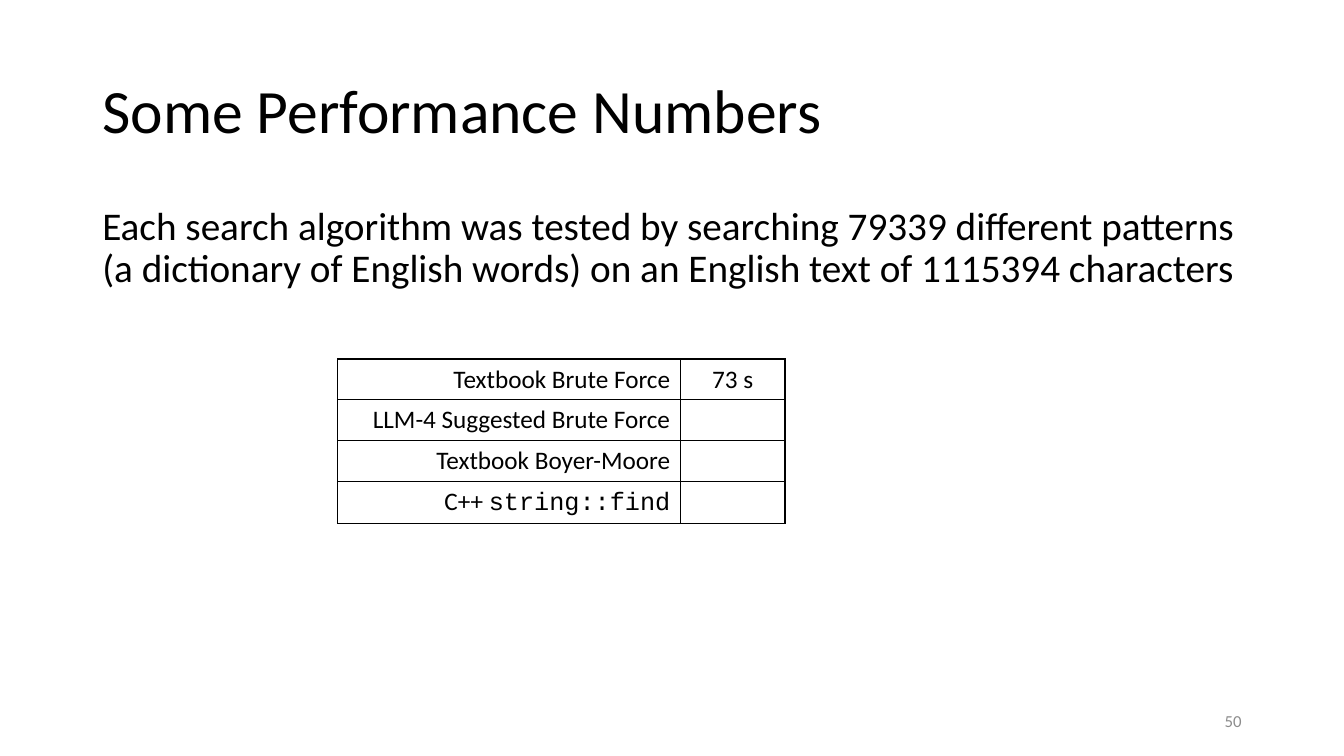
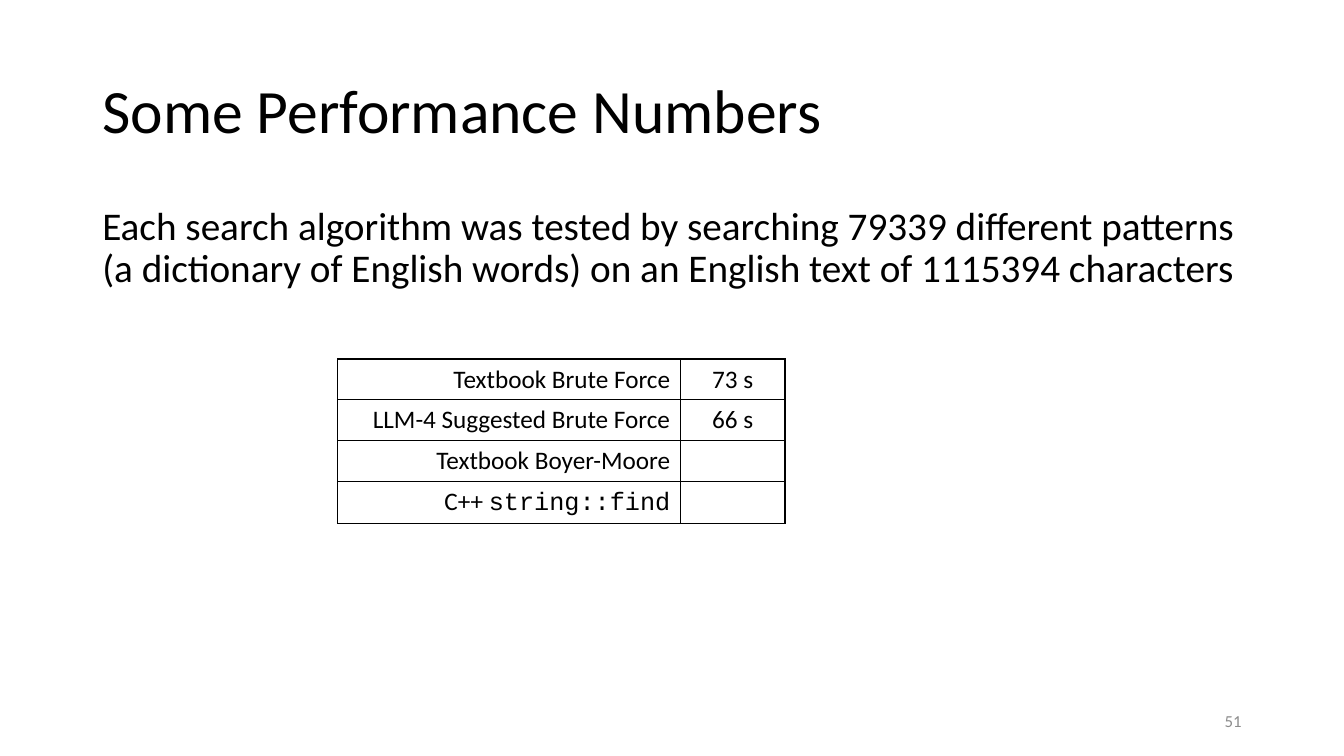
from lxml import etree
from pptx import Presentation
from pptx.dml.color import RGBColor
from pptx.enum.text import MSO_ANCHOR, MSO_AUTO_SIZE, PP_ALIGN
from pptx.oxml.ns import qn
from pptx.util import Pt

LEFT, CENTER, RIGHT = PP_ALIGN.LEFT, PP_ALIGN.CENTER, PP_ALIGN.RIGHT
TOP, MIDDLE = MSO_ANCHOR.TOP, MSO_ANCHOR.MIDDLE
NO_AUTOFIT = MSO_AUTO_SIZE.NONE
TITLE_ONLY_LAYOUT = 5

COLORS = {"text": "000000", "number": "8C8C8C", "border": "000000"}
BODY_FONT, CODE_FONT = "Calibri", "Courier New"
BORDER_WIDTH = 1

# Boxes are left, top, width, height in points.
SLIDE_SIZE = (960, 540)
TITLE_BOX = (66, 28.8, 828, 104.4)
BODY_BOX = (66, 144, 828, 342.6)
NUMBER_BOX = (678, 500.4, 216, 28.8)
TABLE_BOX = (241.2, 256.4, 319.6, 116.8)
LABEL_SHARE = 0.766

FORMATS = {
    "title": {"size": 44, "color": "text", "anchor": MIDDLE,
              "paragraph": {"alignment": LEFT, "line_spacing": 0.9}},
    "body": {"size": 28, "color": "text", "anchor": TOP,
             "paragraph": {"alignment": LEFT, "line_spacing": 0.9, "space_before": Pt(10)}},
    "number": {"size": 12, "color": "number", "anchor": MIDDLE,
               "paragraph": {"alignment": RIGHT}},
    "label": {"size": 18, "color": "text", "paragraph": {"alignment": RIGHT}},
    "time": {"size": 18, "color": "text", "paragraph": {"alignment": CENTER}},
}

TITLE = "Some Performance Numbers"
DESCRIPTION = (
    "Each search algorithm was tested by searching 79339 different patterns "
    "(a dictionary of English words) on an English text of 1115394 characters"
)
# Each label is a list of (text, font) runs.
ALGORITHMS = [
    [("Textbook Brute Force", BODY_FONT)],
    [("LLM-4 Suggested Brute Force", BODY_FONT)],
    [("Textbook Boyer-Moore", BODY_FONT)],
    [("C++ ", BODY_FONT), ("string::find", CODE_FONT)],
]
SLIDES = [(50, ["73 s"]), (51, ["73 s", "66 s"])]


def write_runs(text_frame, runs, style):
    paragraph = text_frame.paragraphs[0]
    for name, value in style["paragraph"].items():
        setattr(paragraph, name, value)
    for text, font_name in runs:
        run = paragraph.add_run()
        run.text = text
        for name, value in {"name": font_name, "size": Pt(style["size"])}.items():
            setattr(run.font, name, value)
        run.font.color.rgb = RGBColor.from_string(COLORS[style["color"]])


def fill_text_shape(shape, box, text, style):
    for name, value in zip(("left", "top", "width", "height"), box):
        setattr(shape, name, Pt(value))
    frame_format = {"word_wrap": True, "auto_size": NO_AUTOFIT,
                    "vertical_anchor": style["anchor"]}
    for name, value in frame_format.items():
        setattr(shape.text_frame, name, value)
    write_runs(shape.text_frame, [(text, BODY_FONT)], style)


def add_text(slide, box, text, style):
    shape = slide.shapes.add_textbox(*map(Pt, box))
    fill_text_shape(shape, box, text, style)


def outline_cell(cell):
    """Draw all four borders and leave the cell unfilled."""
    properties = cell._tc.get_or_add_tcPr()
    for side in ("lnL", "lnR", "lnT", "lnB"):
        line = etree.SubElement(properties, qn(f"a:{side}"), w=str(Pt(BORDER_WIDTH)))
        fill = etree.SubElement(line, qn("a:solidFill"))
        etree.SubElement(fill, qn("a:srgbClr"), val=COLORS["border"])
    cell.fill.background()


def add_results_table(slide, box, times):
    """List every algorithm; rows beyond the given times stay empty."""
    table = slide.shapes.add_table(len(ALGORITHMS), 2, *map(Pt, box)).table
    table.first_row = table.horz_banding = False
    width, height = box[2:]
    for column, share in zip(table.columns, (LABEL_SHARE, 1 - LABEL_SHARE)):
        column.width = Pt(width * share)
    for index, label in enumerate(ALGORITHMS):
        table.rows[index].height = Pt(height / len(ALGORITHMS))
        label_cell, time_cell = table.cell(index, 0), table.cell(index, 1)
        write_runs(label_cell.text_frame, label, FORMATS["label"])
        if index < len(times):
            write_runs(time_cell.text_frame, [(times[index], BODY_FONT)], FORMATS["time"])
        for cell in (label_cell, time_cell):
            outline_cell(cell)


def add_performance_slide(presentation, number, times):
    slide = presentation.slides.add_slide(presentation.slide_layouts[TITLE_ONLY_LAYOUT])
    fill_text_shape(slide.shapes.title, TITLE_BOX, TITLE, FORMATS["title"])
    add_text(slide, BODY_BOX, DESCRIPTION, FORMATS["body"])
    add_text(slide, NUMBER_BOX, str(number), FORMATS["number"])
    add_results_table(slide, TABLE_BOX, times)


def main():
    presentation = Presentation()
    presentation.slide_width, presentation.slide_height = map(Pt, SLIDE_SIZE)
    for number, times in SLIDES:
        add_performance_slide(presentation, number, times)
    presentation.save("out.pptx")


if __name__ == "__main__":
    main()
